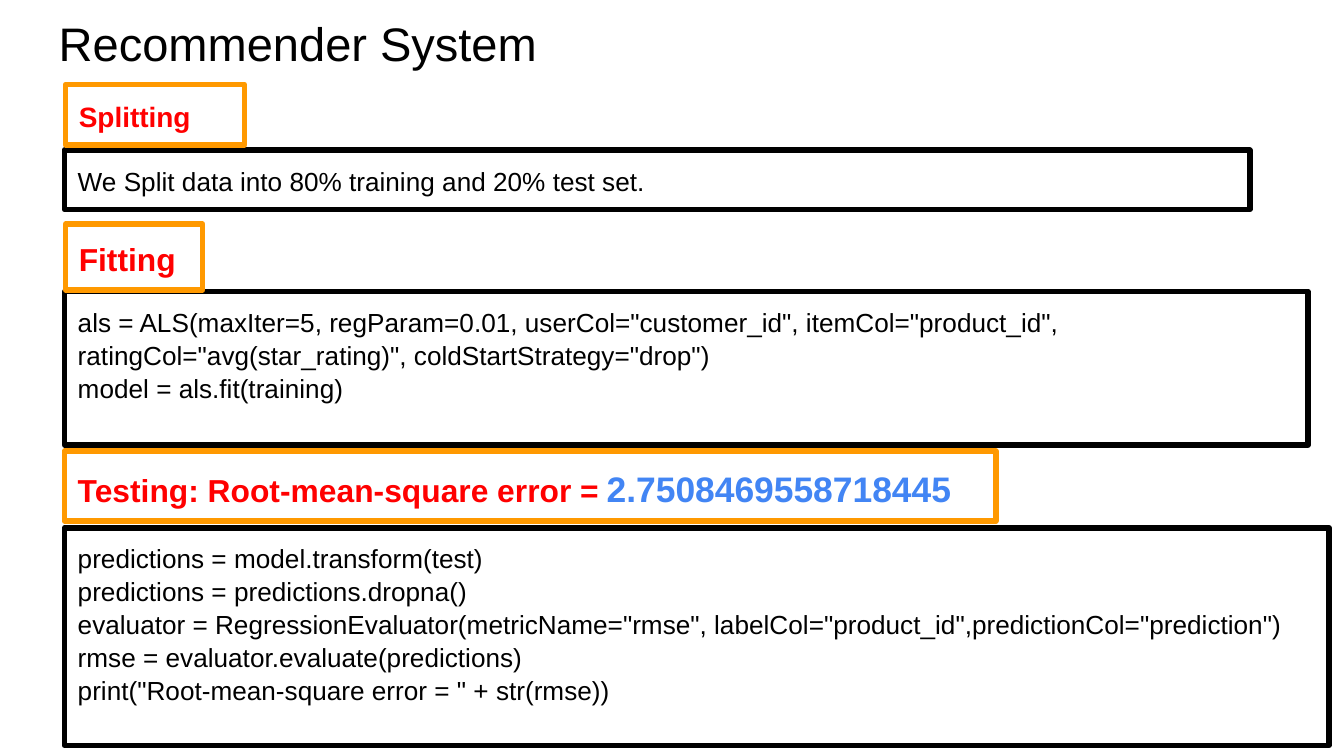
from dataclasses import dataclass

from pptx import Presentation
from pptx.dml.color import RGBColor
from pptx.enum.shapes import MSO_SHAPE
from pptx.enum.text import MSO_ANCHOR, MSO_AUTO_SIZE, PP_ALIGN
from pptx.util import Cm, Pt

RECTANGLE = MSO_SHAPE.RECTANGLE
TOP, BOTTOM = MSO_ANCHOR.TOP, MSO_ANCHOR.BOTTOM
LEFT = PP_ALIGN.LEFT
NO_AUTOFIT = MSO_AUTO_SIZE.NONE
TITLE_ONLY = 5


@dataclass(frozen=True)
class Theme:
    font: str = "Arial"
    ink: RGBColor = RGBColor(0x00, 0x00, 0x00)
    heading: RGBColor = RGBColor(0xFF, 0x00, 0x00)
    heading_frame: RGBColor = RGBColor(0xFF, 0x99, 0x00)
    result: RGBColor = RGBColor(0x42, 0x85, 0xF4)
    title_size: float = 25.2
    body_size: float = 14
    small_heading_size: float = 15
    heading_size: float = 17
    result_size: float = 19
    frame_width: float = 3
    line_spacing: float = 1.05
    inset: float = 0.25


THEME = Theme()

# Each section: heading box, heading pieces (text, size, colour, bold),
# body box, body lines. Boxes are left, top, width, height in cm.
SECTIONS = [
    (
        (1.24, 1.6, 3.38, 1.14),
        [("Splitting", THEME.small_heading_size, THEME.heading, True)],
        (1.22, 2.84, 22.4, 1.12),
        ["We Split data into 80% training and 20% test set."],
    ),
    (
        (1.24, 4.24, 2.59, 1.24),
        [("Fitting", THEME.heading_size, THEME.heading, True)],
        (1.22, 5.51, 23.5, 2.9),
        [
            'als = ALS(maxIter=5, regParam=0.01, userCol="customer_id", '
            'itemCol="product_id", ratingCol="avg(star_rating)", '
            'coldStartStrategy="drop")',
            "model = als.fit(training)",
        ],
    ),
    (
        (1.22, 8.53, 17.6, 1.32),
        [
            ("Testing: Root-mean-square error =", THEME.heading_size, THEME.heading, True),
            (" ", THEME.body_size, THEME.ink, False),
            ("2.7508469558718445", THEME.result_size, THEME.result, True),
        ],
        (1.22, 9.98, 23.9, 4.11),
        [
            "predictions = model.transform(test)",
            "predictions = predictions.dropna()",
            'evaluator = RegressionEvaluator(metricName="rmse", '
            'labelCol="product_id",predictionCol="prediction")',
            "rmse = evaluator.evaluate(predictions)",
            'print("Root-mean-square error = " + str(rmse))',
        ],
    ),
]


def style_run(run, size, color, bold=False):
    run.font.name = THEME.font
    run.font.size = Pt(size)
    run.font.color.rgb = color
    run.font.bold = bold


def prepare_frame(frame, anchor):
    """Give a text frame the shared insets, wrapping and anchor."""
    frame.word_wrap = True
    frame.auto_size = NO_AUTOFIT
    frame.vertical_anchor = anchor
    frame.margin_left = frame.margin_right = Cm(THEME.inset)
    frame.margin_top = frame.margin_bottom = Cm(THEME.inset)


def add_title(slide, box, text):
    title = slide.shapes.title
    title.left, title.top, title.width, title.height = map(Cm, box)
    prepare_frame(title.text_frame, BOTTOM)
    title.text_frame.text = text
    heading = title.text_frame.paragraphs[0]
    heading.alignment = LEFT
    style_run(heading.runs[0], THEME.title_size, THEME.ink)


def add_frame(slide, box, color):
    """Draw an outlined, unfilled rectangle and return its text frame."""
    outline = slide.shapes.add_shape(RECTANGLE, *map(Cm, box))
    outline.shadow.inherit = False
    outline.fill.background()
    outline.line.color.rgb = color
    outline.line.width = Pt(THEME.frame_width)
    prepare_frame(outline.text_frame, TOP)
    return outline.text_frame


def set_paragraph_layout(paragraph):
    paragraph.alignment = LEFT
    paragraph.line_spacing = THEME.line_spacing


def add_body(slide, box, lines):
    body = add_frame(slide, box, THEME.ink)
    body.text = "\n".join(lines)
    for paragraph in body.paragraphs:
        set_paragraph_layout(paragraph)
        style_run(paragraph.runs[0], THEME.body_size, THEME.ink)


def add_heading(slide, box, pieces):
    heading = add_frame(slide, box, THEME.heading_frame).paragraphs[0]
    set_paragraph_layout(heading)
    for text, size, color, bold in pieces:
        run = heading.add_run()
        run.text = text
        style_run(run, size, color, bold)


def main():
    deck = Presentation()
    deck.slide_width, deck.slide_height = Cm(25.4), Cm(14.29)
    slide = deck.slides.add_slide(deck.slide_layouts[TITLE_ONLY])
    add_title(slide, (0.86, 0, 23.67, 1.6), "Recommender System")
    for heading_box, heading, body_box, body in SECTIONS:
        add_body(slide, body_box, body)
        add_heading(slide, heading_box, heading)
    deck.save("out.pptx")


if __name__ == "__main__":
    main()
